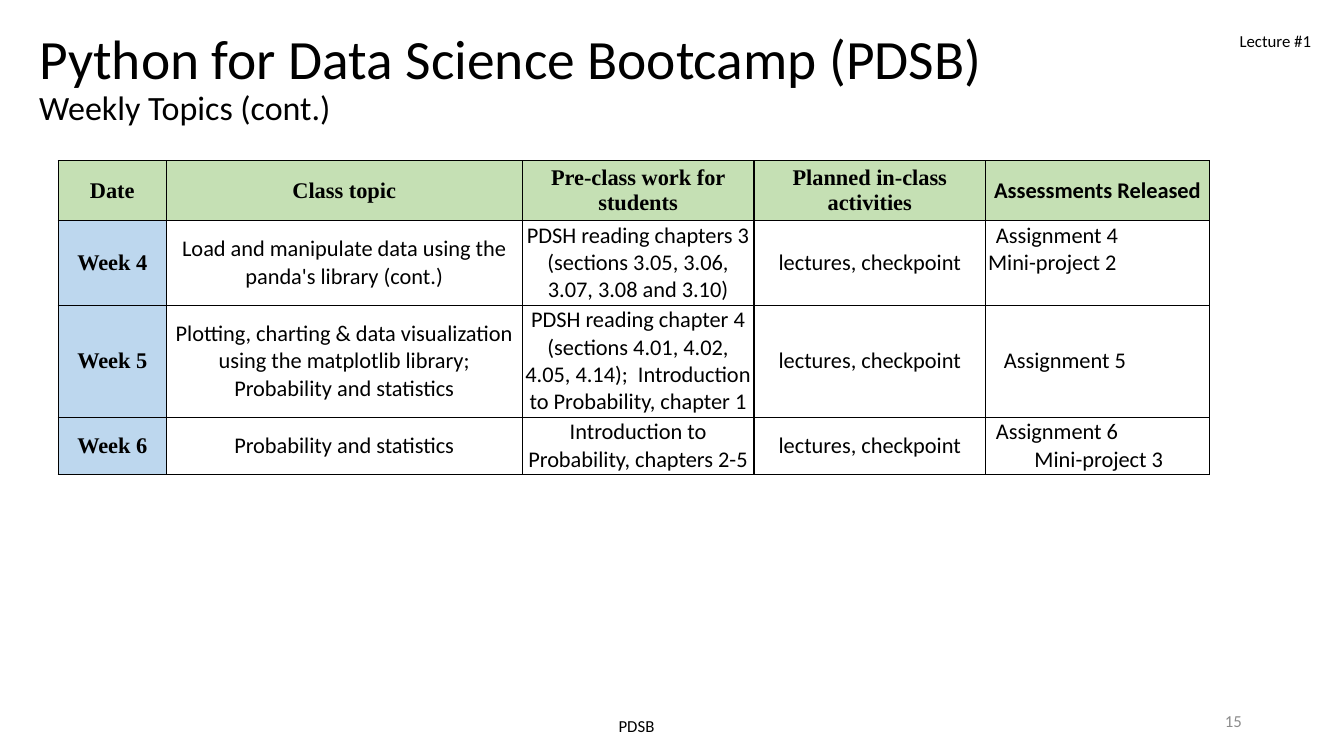
from pptx import Presentation
from pptx.dml.color import RGBColor
from pptx.enum.text import MSO_ANCHOR as Anchor, MSO_AUTO_SIZE as AutoSize, PP_ALIGN as Align
from pptx.oxml.ns import qn
from pptx.util import Cm, Pt
from lxml import etree

COLORS = {"text": "000000", "border": "000000", "muted": "8C8C8C",
          "header": "C5E0B4", "week": "BDD7EE"}
SANS, SERIF = "Calibri", "Times New Roman"

HEADERS = ["Date", "Class topic", "Pre-class work for students",
           "Planned in-class activities", "Assessments Released"]
WEEKS = [
    ["Week 4", "Load and manipulate data using the panda's library (cont.)",
     "PDSH reading chapters 3 (sections 3.05, 3.06, 3.07, 3.08 and 3.10)",
     "lectures, checkpoint", "Assignment 4\nMini-project 2"],
    ["Week 5", "Plotting, charting & data visualization using the matplotlib library; "
     "Probability and statistics",
     "PDSH reading chapter 4 (sections 4.01, 4.02, 4.05, 4.14);  "
     "Introduction to Probability, chapter 1",
     "lectures, checkpoint", "Assignment 5"],
    ["Week 6", "Probability and statistics", "Introduction to Probability, chapters 2-5",
     "lectures, checkpoint", "Assignment 6\nMini-project 3"],
]
COL_WIDTHS = [2.72, 8.97, 5.84, 5.84, 5.64]
ROW_HEIGHTS = [1.51, 2.13, 2.81, 1.44]
# Left indents in cm of the assessment lines, week by week
INDENTS = [[0.23, 0.03], [0.43], [0.23, 1.2]]


def style_runs(p, size, font=SANS, color="text", bold=False):
    for r in p.runs:
        r.font.size, r.font.name, r.font.bold = Pt(size), font, bold
        r.font.color.rgb = RGBColor.from_string(COLORS[color])


def add_label(s, box, lines, sizes, color="text", align=Align.LEFT, anchor=Anchor.TOP,
              spacing=None, auto_size=AutoSize.NONE):
    """Place a text box with one paragraph and one size per line."""
    tf = s.shapes.add_textbox(*map(Cm, box)).text_frame
    tf.word_wrap, tf.auto_size, tf.vertical_anchor = True, auto_size, anchor
    tf.text = "\n".join(lines)
    for p, size in zip(tf.paragraphs, sizes):
        p.alignment, p.line_spacing = align, spacing
        style_runs(p, size, color=color)


def add_borders(cell):
    tcPr = cell._tc.get_or_add_tcPr()
    for side in ("a:lnL", "a:lnR", "a:lnT", "a:lnB"):
        ln = etree.SubElement(tcPr, qn(side), w=str(Pt(1)))
        fill = etree.SubElement(ln, qn("a:solidFill"))
        etree.SubElement(fill, qn("a:srgbClr"), val=COLORS["border"])


def fill_cell(cell, text, font=SANS, bold=False, fill=None, tight=True):
    add_borders(cell)
    if fill:
        cell.fill.solid()
        cell.fill.fore_color.rgb = RGBColor.from_string(COLORS[fill])
    else:
        cell.fill.background()
    if tight:
        cell.margin_left = cell.margin_right = Cm(0.03)
        cell.margin_top = cell.margin_bottom = Cm(0.03)
    cell.vertical_anchor = Anchor.MIDDLE
    cell.text = text
    for p in cell.text_frame.paragraphs:
        p.alignment = Align.CENTER
        style_runs(p, 16, font, bold=bold)


def indent_lines(cell, indents):
    for p, indent in zip(cell.text_frame.paragraphs, indents):
        p.alignment = Align.LEFT
        p._p.get_or_add_pPr().set("marL", str(Cm(indent)))


def add_schedule(s, left, top):
    table = s.shapes.add_table(len(ROW_HEIGHTS), len(COL_WIDTHS), Cm(left), Cm(top),
                               Cm(sum(COL_WIDTHS)), Cm(sum(ROW_HEIGHTS))).table
    table.horz_banding = False
    for col, width in zip(table.columns, COL_WIDTHS):
        col.width = Cm(width)
    for row, height in zip(table.rows, ROW_HEIGHTS):
        row.height = Cm(height)

    last = len(HEADERS) - 1
    for c, text in enumerate(HEADERS):
        fill_cell(table.cell(0, c), text, SANS if c == last else SERIF, True,
                  "header", tight=c == last)
    for r, (week, *details) in enumerate(WEEKS, 1):
        fill_cell(table.cell(r, 0), week, SERIF, True, "week", tight=False)
        for c, text in enumerate(details, 1):
            fill_cell(table.cell(r, c), text)
        indent_lines(table.cell(r, last), INDENTS[r - 1])
    table.cell(1, last).vertical_anchor = Anchor.TOP


def main():
    prs = Presentation()
    prs.slide_width, prs.slide_height = Cm(33.87), Cm(19.05)
    s = prs.slides.add_slide(prs.slide_layouts[6])
    add_schedule(s, 1.47, 4.05)
    add_label(s, (0.74, 0.69, 29.21, 2.64),
              ["Python for Data Science Bootcamp (PDSB)", "Weekly Topics (cont.)"],
              [39.6, 24.3], anchor=Anchor.MIDDLE, spacing=0.9)
    add_label(s, (23.93, 17.65, 7.62, 1.02), ["15"], [12], "muted",
              Align.RIGHT, Anchor.MIDDLE)
    add_label(s, (15.34, 17.91, 2.03, 0.76), ["PDSB"], [12],
              auto_size=AutoSize.SHAPE_TO_FIT_TEXT)
    add_label(s, (30.99, 0.64, 2.41, 0.76), ["Lecture #1"], [12],
              auto_size=AutoSize.SHAPE_TO_FIT_TEXT)
    prs.save("out.pptx")


if __name__ == "__main__":
    main()
